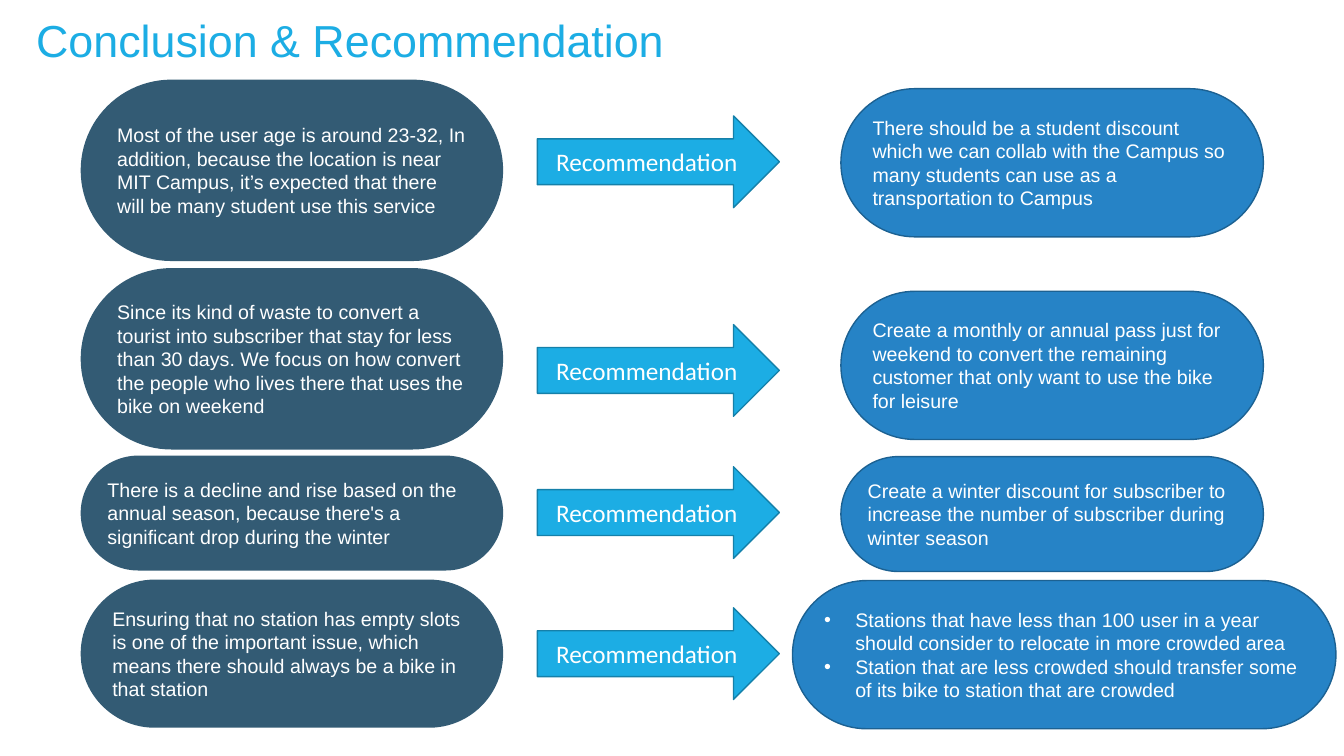
import pptx
import pptx.util
import pptx.dml.color
import pptx.enum.shapes
import pptx.enum.text
from lxml import etree

Inches = pptx.util.Inches
SHAPE = pptx.enum.shapes.MSO_SHAPE
ALIGN = pptx.enum.text.PP_ALIGN
ANCHOR = pptx.enum.text.MSO_ANCHOR

SKY, SLATE, BLUE, WHITE = "1CADE4", "335B74", "2683C6", "FFFFFF"

# Each row: finding (top, height, text), arrow top, advice (left, top, width, height, texts)
ROWS = [
    ((0.79, 1.8, "Most of the user age is around 23-32, In addition, because the location is near "
      "MIT Campus, it’s expected that there will be many student use this service"),
     1.15,
     (8.34, 0.88, 4.19, 1.47, ["There should be a student discount which we can collab with the "
                               "Campus so many students can use as a transportation to Campus"])),
    ((2.66, 1.8, "Since its kind of waste to convert a tourist into subscriber that stay for less "
      "than 30 days. We focus on how convert the people who lives there that uses the bike on "
      "weekend"),
     3.22,
     (8.34, 2.89, 4.19, 1.47, ["Create a monthly or annual pass just for weekend to convert the "
                               "remaining customer that only want to use the bike for leisure"])),
    ((4.52, 1.14, "There is a decline and rise based on the annual season, because there's a "
      "significant drop during the winter"),
     4.63,
     (8.34, 4.53, 4.19, 1.14, ["Create a winter discount for subscriber to increase the number of "
                               "subscriber during winter season"])),
    ((5.75, 1.47, "Ensuring that no station has empty slots is one of the important issue, which "
      "means there should always be a bike in that station"),
     6.03,
     (7.86, 5.76, 5.39, 1.47, ["Stations that have less than 100 user in a year should consider to "
                               "relocate in more crowded area",
                               "Station that are less crowded should transfer some of its bike to "
                               "station that are crowded"])),
]


def color(code):
    return pptx.dml.color.RGBColor.from_string(code)


def bullet(para):
    props = para._p.get_or_add_pPr()
    props.set("marL", str(Inches(0.31)))
    props.set("indent", str(-Inches(0.31)))
    space = pptx.oxml.ns.qn
    etree.SubElement(props, space("a:buFont")).set("typeface", "Arial")
    etree.SubElement(props, space("a:buChar")).set("char", "•")


def write(frame, texts, size, face, tint, align=ALIGN.LEFT):
    """Fill a frame, with bullets when there are several texts."""
    frame.word_wrap = True
    for i, text in enumerate(texts):
        para = frame.paragraphs[0] if i == 0 else frame.add_paragraph()
        para.text = text
        para.alignment = align
        if len(texts) > 1:
            bullet(para)
        para.font.size = pptx.util.Pt(size)
        para.font.name = face
        para.font.color.rgb = color(tint)


def block(slide, kind, box, fill, line=None):
    shape = slide.shapes.add_shape(kind, *map(Inches, box))
    shape.shadow.inherit = False
    shape.fill.solid()
    shape.fill.fore_color.rgb = color(fill)
    if line:
        shape.line.color.rgb = color(line)
        shape.line.width = pptx.util.Pt(1)
    else:
        shape.line.fill.background()
    shape.text_frame.vertical_anchor = ANCHOR.MIDDLE
    return shape


def pill(slide, box, texts, fill, line=None):
    shape = block(slide, SHAPE.ROUNDED_RECTANGLE, box, fill, line)
    shape.adjustments[0] = 0.5
    write(shape.text_frame, texts, 14, "Arial", WHITE)


def arrow(slide, box):
    shape = block(slide, SHAPE.RIGHT_ARROW, box, SKY, "1580A9")
    write(shape.text_frame, ["Recommendation"], 18, "Calibri", WHITE, ALIGN.CENTER)


def title(slide, box):
    label = slide.shapes.add_textbox(*map(Inches, box))
    write(label.text_frame, ["Conclusion & Recommendation"], 32, "Arial", SKY)


def main():
    deck = pptx.Presentation()
    deck.slide_width, deck.slide_height = Inches(13.33), Inches(7.5)
    slide = deck.slides.add_slide(deck.slide_layouts[6])

    title(slide, (0.26, 0.08, 7.47, 0.77))

    # Finding, arrow and advice in each row
    for (top, height, text), middle, (*box, advice) in ROWS:
        pill(slide, (0.8, top, 4.19, height), [text], SLATE)
        arrow(slide, (5.33, middle, 2.4, 0.91))
        pill(slide, box, advice, BLUE, "1C6192")

    deck.save("out.pptx")


if __name__ == "__main__":
    main()
